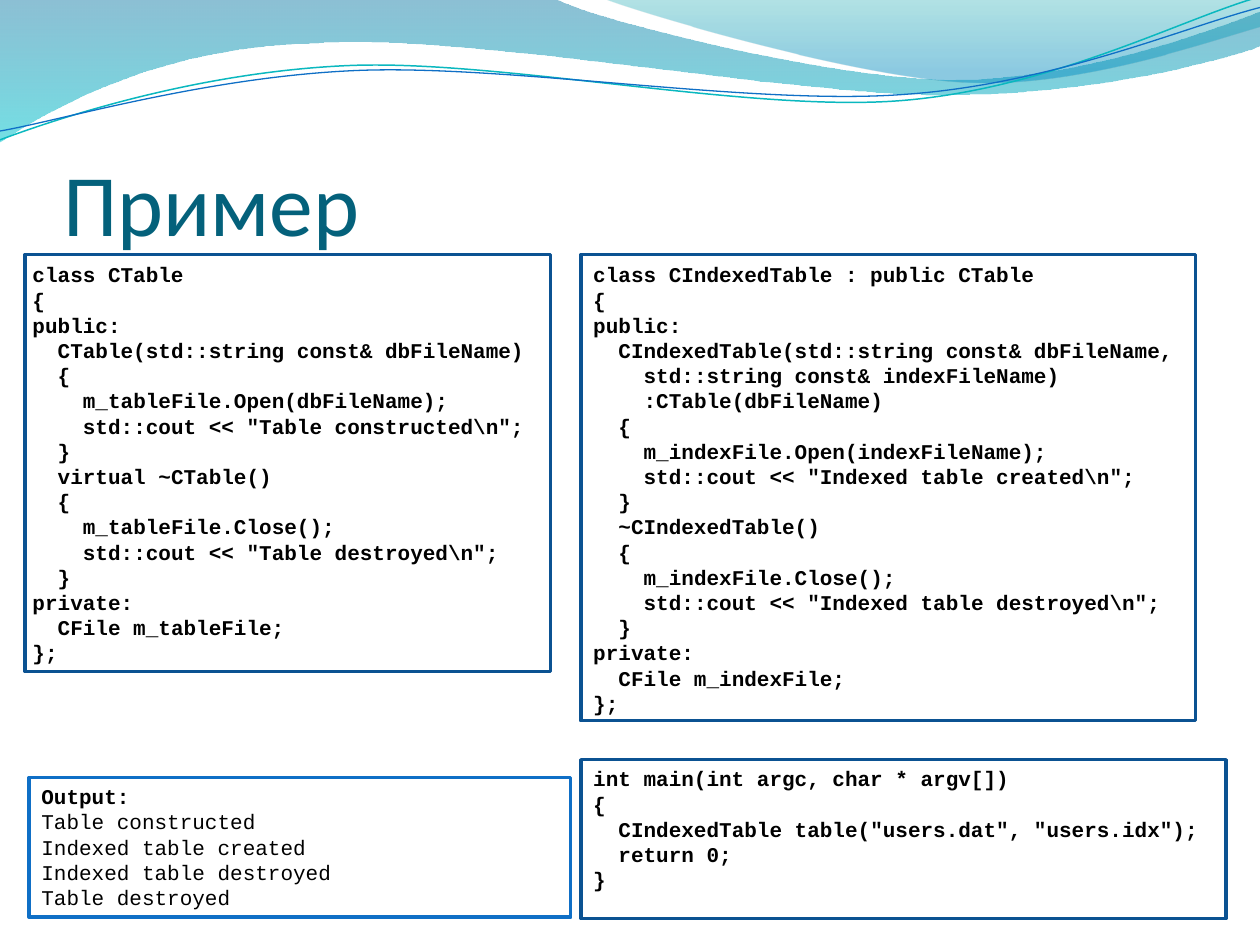
import math
import pptx
import pptx.dml.color
import pptx.enum.shapes
import pptx.enum.text
import pptx.oxml
import pptx.oxml.ns
import pptx.util
from dataclasses import dataclass

Inches = pptx.util.Inches
Pt = pptx.util.Pt
color = pptx.dml.color.RGBColor.from_string
anchors = pptx.enum.text.MSO_ANCHOR
qn = pptx.oxml.ns.qn
nsdecls = pptx.oxml.ns.nsdecls


@dataclass(frozen=True)
class Theme:
    title: str = "04617B"
    code: str = "000000"
    paper: str = "FFFFFF"
    frame: str = "0B5292"
    accent: str = "0F6FC6"
    teal: str = "0AB8BF"
    title_font: str = "Calibri"
    code_font: str = "Courier New"
    title_size: int = 50
    code_size: int = 12
    line_pitch: float = 14.4
    frame_width: int = 2


theme = Theme()


def write(box, text, font=theme.code_font, size=theme.code_size, ink=theme.code,
          bold=True, bold_lines=None, pitch=theme.line_pitch, gaps=None,
          anchor=anchors.TOP):
    """Fill a box line by line; each leading tab becomes an indent of two characters."""
    frame = box.text_frame
    frame.word_wrap = True
    frame.vertical_anchor = anchor
    for number, line in enumerate(text.split("\n")):
        para = frame.paragraphs[0] if number == 0 else frame.add_paragraph()
        para.alignment = pptx.enum.text.PP_ALIGN.LEFT
        if pitch:
            para.line_spacing = Pt(pitch)
        para.space_before = Pt((gaps or {}).get(number, 0))
        words = line.lstrip("\t")
        depth = len(line) - len(words)
        if depth:
            para._p.get_or_add_pPr().set("marL", str(Inches(0.2 * depth)))
        span = para.add_run()
        span.text = words
        span.font.name = font
        span.font.size = Pt(size)
        span.font.bold = bold if bold_lines is None else number in bold_lines
        span.font.color.rgb = color(ink)


def draw_wave(page, start, segments, close):
    """Trace straight (2 numbers) and Bezier (6 numbers) segments given in inches."""
    points = [(Inches(segment[i]), Inches(segment[i + 1]))
              for segment in segments for i in range(0, len(segment), 2)]
    builder = page.shapes.build_freeform(Inches(start[0]), Inches(start[1]))
    builder.add_line_segments(points, close=close)
    wave = builder.convert_to_shape()
    wave.shadow.inherit = False
    # Join each three points of a Bezier segment into one curve
    steps = iter(wave.element.findall(".//" + qn("a:lnTo")))
    for segment in segments:
        group = [next(steps) for _ in range(len(segment) // 2)]
        if len(group) == 3:
            curve = pptx.oxml.parse_xml(f'<a:cubicBezTo {nsdecls("a")}/>')
            group[0].addprevious(curve)
            for step in group:
                curve.append(step[0])
                step.getparent().remove(step)
    return wave


deck = pptx.Presentation()
deck.slide_width, deck.slide_height = Inches(10), Inches(7.5)
page = deck.slides.add_slide(deck.slide_layouts[5])
page.background.fill.solid()
page.background.fill.fore_color.rgb = color(theme.paper)

# Translucent waves: start, segments, gradient stops (position, colour, opacity %)
bands = [
    ((0, 0), [(4.4, -0.01), (4.76, 0.17, 6.64, 0.63, 7.58, 0.63),
              (8.53, 0.63, 9.58, 0.26, 10, 0.09), (10.01, 0.36),
              (9.83, 0.44, 8.7, 0.76, 7.46, 0.75), (6.22, 0.75, 3.82, 0.28, 2.57, 0.34),
              (1.29, 0.36, 0.46, 0.83, -0.01, 1.13)],
     [(0, "0074A1", 45), (1, "00C6CF", 55)]),
    ((4.79, -0.01), [(5.09, 0.11, 6.82, 0.62, 7.69, 0.65),
                     (8.56, 0.69, 9.61, 0.32, 10, 0.21), (10, 0)],
     [(0, "00A1A9", 30), (0.8, "008BBF", 45)]),
]
for start, segments, stops in bands:
    band = draw_wave(page, start, segments, True)
    band.line.fill.background()
    band.fill.gradient()
    band.fill.gradient_angle = 270
    for stop, (position, tint, opacity) in zip(band.fill.gradient_stops, stops):
        stop.position = position
        stop.color.rgb = color(tint)
    tints = band.element.spPr.findall(".//" + qn("a:srgbClr"))
    for tint, (_, _, opacity) in zip(tints, stops):
        tint.append(pptx.oxml.parse_xml(
            f'<a:alpha {nsdecls("a")} val="{opacity * 1000}"/>'))

# Thin wave lines, laid out level about their centre and then tilted
tilt = 2.7
cosine, sine = math.cos(math.radians(tilt)), math.sin(math.radians(tilt))
strands = [
    ((4.99, 0.58), [(0, 1.11), (0.48, 0.93, 1.58, 0.57, 2.77, 0.52),
                    (3.95, 0.47, 5.93, 0.89, 7.13, 0.8),
                    (8.33, 0.71, 9.38, 0.15, 9.98, -0.02)], theme.teal, 0.85),
    ((5, 0.59), [(0, 1.04), (0.47, 0.96, 1.64, 0.61, 2.83, 0.56),
                 (4.03, 0.51, 5.97, 0.84, 7.17, 0.75),
                 (8.36, 0.67, 9.41, 0.21, 10, 0.06)], theme.accent, 0.75),
]
for (middle_x, middle_y), segments, ink, width in strands:
    level = []
    for segment in segments:
        flat = []
        for x, y in zip(segment[::2], segment[1::2]):
            across, down = x - middle_x, y - middle_y
            flat += [middle_x + across * cosine - down * sine,
                     middle_y + across * sine + down * cosine]
        level.append(flat)
    strand = draw_wave(page, level[0], level[1:], False)
    strand.rotation = 360 - tilt
    strand.fill.background()
    strand.line.color.rgb = color(ink)
    strand.line.width = Pt(width)

# Title, brought in front of the waves
title = page.shapes.title
title.element.getparent().append(title.element)
title.left, title.top, title.width, title.height = map(Inches, (0.5, 0.77, 9.08, 1.25))
title.text_frame.margin_left = title.text_frame.margin_right = 0
title.text_frame.margin_bottom = 0
write(title, "Пример", font=theme.title_font, size=theme.title_size, ink=theme.title,
      bold=False, pitch=None, anchor=anchors.BOTTOM)

# Code listings
base_code = r"""class CTable
{
public:
	CTable(std::string const& dbFileName)
	{
		m_tableFile.Open(dbFileName);
		std::cout << "Table constructed\n";
	}
	virtual ~CTable()
	{
		m_tableFile.Close();
		std::cout << "Table destroyed\n";
	}
private:
	CFile m_tableFile;
};"""
derived_code = r"""class CIndexedTable : public CTable
{
public:
	CIndexedTable(std::string const& dbFileName,
		std::string const& indexFileName)
		:CTable(dbFileName)
	{
		m_indexFile.Open(indexFileName);
		std::cout << "Indexed table created\n";
	}
	~CIndexedTable()
	{
		m_indexFile.Close();
		std::cout << "Indexed table destroyed\n";
	}
private:
	CFile m_indexFile;
};
int main(int argc, char * argv[])
{
	CIndexedTable table("users.dat", "users.idx");
	return 0;
}"""
main_line = derived_code.split("\n").index("int main(int argc, char * argv[])")
listings = [
    ((0.16, 2.03, 4.53, 3.33), base_code, {}),
    ((4.61, 2.03, 5.39, 5.35), derived_code, {main_line: 2 * theme.line_pitch}),
]
for place, code, gaps in listings:
    write(page.shapes.add_textbox(*map(Inches, place)), code, gaps=gaps)

# Output panel and the frames around the listings
output = "Output:\nTable constructed\nIndexed table created\nIndexed table destroyed\nTable destroyed"
panels = [
    ((0.23, 6.17, 4.3, 1.11), theme.accent, output),
    ((0.2, 2.02, 4.17, 3.31), theme.frame, None),
    ((4.61, 2.02, 4.88, 3.7), theme.frame, None),
    ((4.61, 6.03, 5.12, 1.26), theme.frame, None),
]
for place, ink, text in panels:
    panel = page.shapes.add_shape(pptx.enum.shapes.MSO_SHAPE.RECTANGLE, *map(Inches, place))
    panel.shadow.inherit = False
    panel.line.color.rgb = color(ink)
    panel.line.width = Pt(theme.frame_width)
    if text:
        panel.fill.solid()
        panel.fill.fore_color.rgb = color(theme.paper)
        write(panel, text, bold_lines=[0])
    else:
        panel.fill.background()

deck.save("out.pptx")
